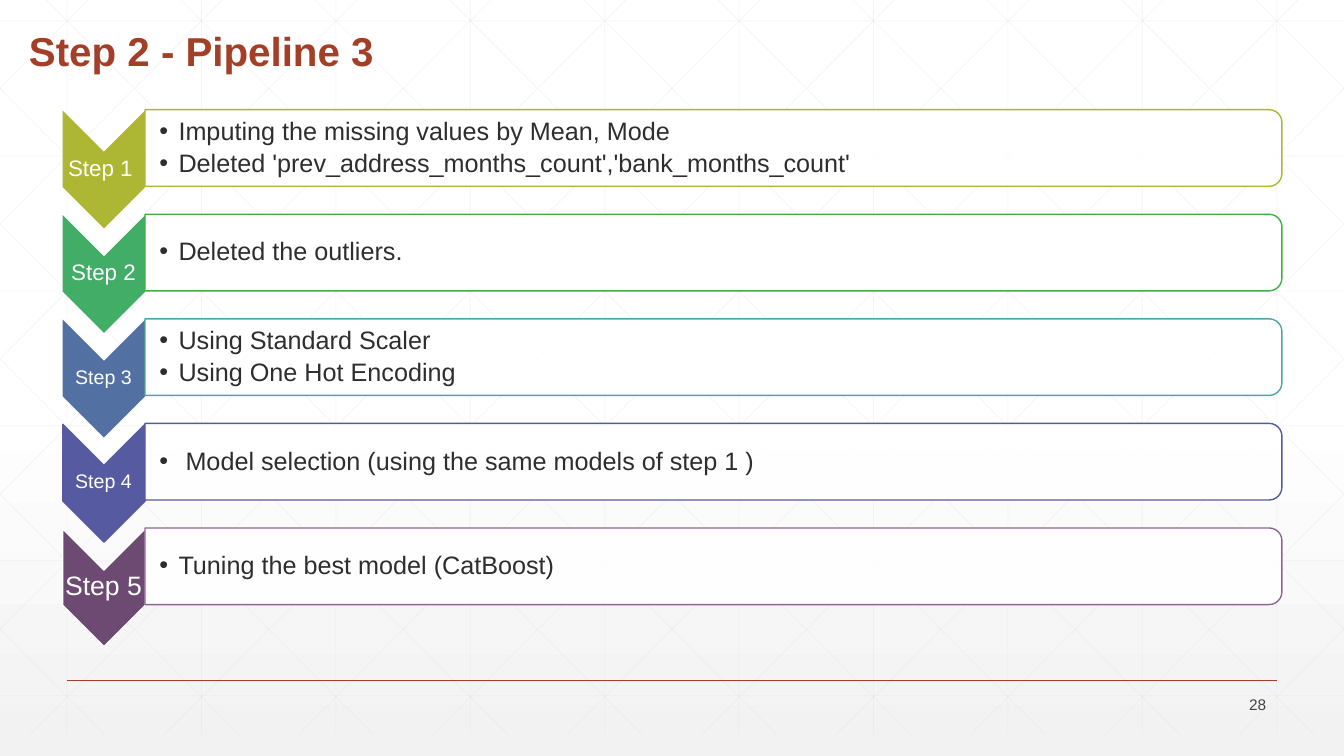
"""Build the "Step 2 - Pipeline 3" slide: five chevron steps with bulleted panels."""
from dataclasses import dataclass

from lxml.etree import SubElement
from pptx import Presentation
from pptx.dml.color import RGBColor
from pptx.enum.shapes import MSO_CONNECTOR as Connector, MSO_SHAPE as Preset
from pptx.enum.text import MSO_ANCHOR as Anchor, PP_ALIGN as Align
from pptx.oxml.ns import qn
from pptx.util import Cm, Pt


@dataclass(frozen=True)
class Theme:
    font: str = "Arial"
    accent: str = "A43F27"
    body: str = "2D2E2D"
    number: str = "424342"
    white: str = "FFFFFF"
    shade: str = "F2F2F2"
    grid: str = "D9D9D9"
    title_size: float = 28.8
    body_size: float = 18
    number_size: float = 11
    thin: float = 0.5
    outline: float = 1


theme = Theme()
rgb = RGBColor.from_string
WIDTH, HEIGHT = 33.87, 19.05

presentation = Presentation()
presentation.slide_width, presentation.slide_height = Cm(WIDTH), Cm(HEIGHT)
slide = presentation.slides.add_slide(presentation.slide_layouts[6])


def add_line(x1, y1, x2, y2, color, width, opacity=100):
    line = slide.shapes.add_connector(
        Connector.STRAIGHT, Cm(x1), Cm(y1), Cm(x2), Cm(y2))
    line.line.color.rgb = rgb(color)
    line.line.width = Pt(width)
    properties = line._element.spPr
    SubElement(properties, qn("a:effectLst"))
    if opacity < 100:
        tint = properties.find(".//" + qn("a:srgbClr"))
        SubElement(tint, qn("a:alpha")).set("val", str(opacity * 1000))


def add_text(text, box, size, color, align=Align.LEFT, anchor=Anchor.MIDDLE,
             insets=(0.25, 0.13, 0.25, 0.13), bold=False):
    frame = slide.shapes.add_textbox(*map(Cm, box)).text_frame
    frame.word_wrap = True
    frame.vertical_anchor = anchor
    (frame.margin_left, frame.margin_top,
     frame.margin_right, frame.margin_bottom) = map(Cm, insets)
    frame.text = text
    for paragraph in frame.paragraphs:
        paragraph.alignment = align
        paragraph.line_spacing = 0.9
        font = paragraph.runs[0].font
        font.name, font.size, font.bold = theme.font, Pt(size), bold
        font.color.rgb = rgb(color)
    return frame


background = slide.background.fill
background.gradient()
background.gradient_angle = 270
for stop, position, color in zip(
        background.gradient_stops, (0.53, 1), (theme.white, theme.shade)):
    stop.position = position
    stop.color.rgb = rgb(color)

GRID_BOTTOM, GRID_STEP, SLOPE = 18.52, 3.387, 0.994
grid_lines = []
for column in range(10):
    x = 1.69 + column * GRID_STEP
    grid_lines.append((x, 0, x, GRID_BOTTOM))
for row in range(6):
    y = 0.53 + row * 3.4
    grid_lines.append((0, y, WIDTH, y))
for diagonal in range(-5, 10):
    origin = 1.17 + diagonal * GRID_STEP
    x1, x2 = max(origin, 0), min(origin + GRID_BOTTOM * SLOPE, WIDTH)
    y1, y2 = (x1 - origin) / SLOPE, (x2 - origin) / SLOPE
    grid_lines += [(x1, y1, x2, y2), (WIDTH - x1, y1, WIDTH - x2, y2)]
for ends in grid_lines:
    add_line(*ends, theme.grid, theme.thin, opacity=25)
add_line(1.69, 17.14, 32.18, 17.14, theme.accent, theme.outline)

add_text("Step 2 - Pipeline 3", (0.48, 0.48, 26.67, 1.55), theme.title_size,
         theme.accent, anchor=Anchor.BOTTOM, bold=True)

WIDE, TIGHT = (0.13, 0.08, 0.13, 0.08), (0.03, 0.03, 0.03, 0.03)
steps = [
    ("Step 1 ", 16, WIDE, "AEB733", None, "AEB733",
     ["Imputing the missing values by Mean, Mode",
      "Deleted 'prev_address_months_count','bank_months_count'"]),
    ("Step 2", 16, WIDE, "42AD67", None, "3EB042", ["Deleted the outliers."]),
    ("Step 3", 14, WIDE, "5270A2", None, "4AA8A6",
     ["Using Standard Scaler", "Using One Hot Encoding"]),
    ("Step 4", 14, TIGHT, "565AA0", "565AA0", "565AA0",
     [" Model selection (using the same models of step 1 )"]),
    ("Step 5", 19, TIGHT, "6D4A71", theme.white, "926397",
     ["Tuning the best model (CatBoost)"]),
]
FIRST_CENTER, STEP_PITCH = 3.73, 2.635

for index, (label, size, insets, fill, edge, border, bullets) in enumerate(steps):
    center = FIRST_CENTER + index * STEP_PITCH
    outlines = [
        (Preset.CHEVRON, 2.62, center + 0.54, 2.97, 2.08, fill, edge),
        (Preset.ROUND_2_SAME_RECTANGLE, 17.98, center, 1.93, 28.65,
         theme.white, border),
    ]
    for preset, middle_x, middle_y, width, height, color, stroke in outlines:
        shape = slide.shapes.add_shape(
            preset, Cm(middle_x - width / 2), Cm(middle_y - height / 2),
            Cm(width), Cm(height))
        shape.rotation = 90
        shape.shadow.inherit = False
        shape.fill.solid()
        shape.fill.fore_color.rgb = rgb(color)
        if stroke:
            shape.line.color.rgb = rgb(stroke)
            shape.line.width = Pt(theme.outline)
        else:
            shape.line.fill.background()
    panel_tint = shape._element.spPr.find(
        qn("a:solidFill") + "/" + qn("a:srgbClr"))
    SubElement(panel_tint, qn("a:alpha")).set("val", "90000")

    add_text(label, (1.57, center + 0.08, 2.08, 0.89), size, theme.white,
             align=Align.CENTER, insets=insets)
    panel_text = add_text(
        "\n".join(bullets), (3.66, center - 0.86, 28.55, 1.73),
        theme.body_size, theme.body, insets=(0.36, 0.03, 0.03, 0.03))
    for paragraph in panel_text.paragraphs:
        paragraph.space_after = Pt(3)
        properties = paragraph._p.get_or_add_pPr()
        properties.set("marL", str(Cm(0.48)))
        properties.set("indent", str(-Cm(0.48)))
        SubElement(properties, qn("a:buFont")).set("typeface", theme.font)
        SubElement(properties, qn("a:buChar")).set("char", "•")

add_text("28", (29.62, 17.48, 2.54, 0.61), theme.number_size, theme.number,
         align=Align.RIGHT)

presentation.save("out.pptx")
